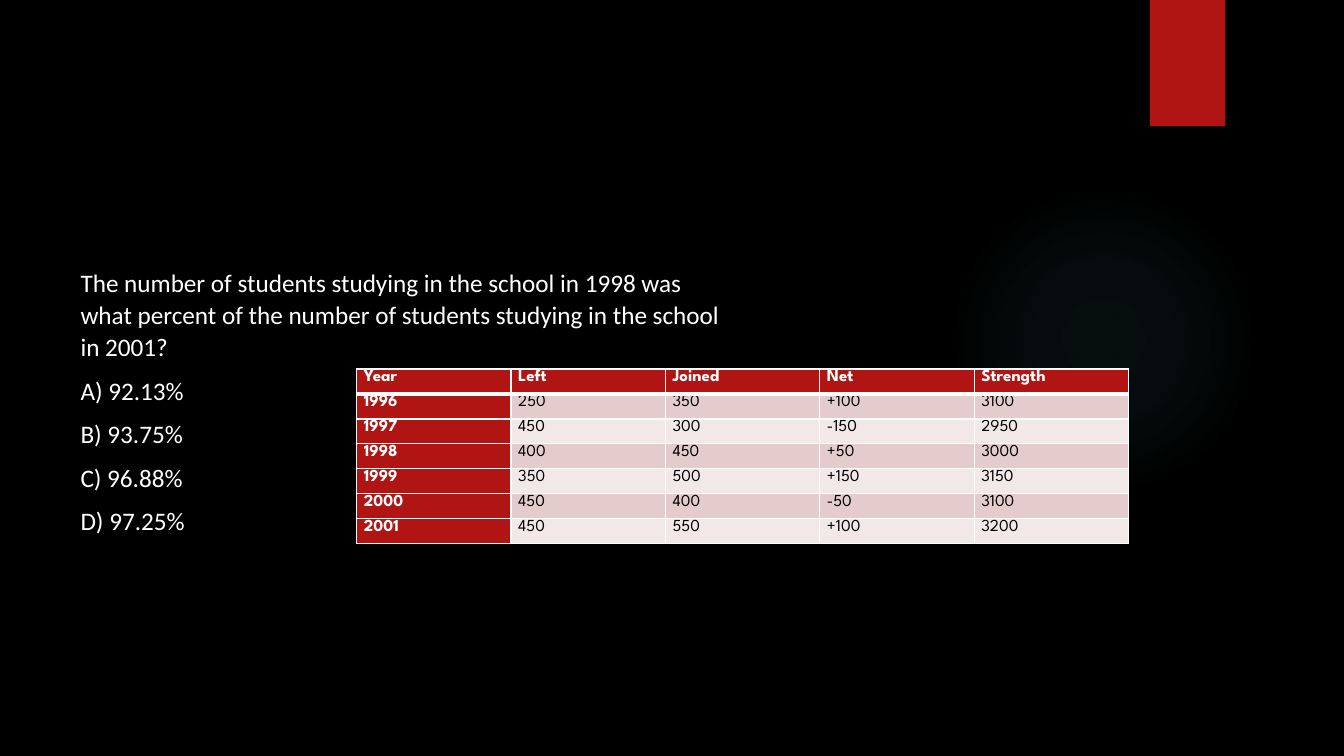
from lxml import etree
from pptx import Presentation
from pptx.dml.color import RGBColor
from pptx.enum import shapes, text
from pptx.oxml import parse_xml
from pptx.oxml.ns import nsdecls, qn
from pptx.util import Cm, Pt

BLACK = RGBColor(0x00, 0x00, 0x00)
WHITE = RGBColor(0xFF, 0xFF, 0xFF)
RED = RGBColor(0xB0, 0x15, 0x13)
DARK_BAND = RGBColor(0xE4, 0xCC, 0xCC)
LIGHT_BAND = RGBColor(0xF2, 0xE8, 0xE7)
GLOW = RGBColor(0x50, 0xB9, 0xC1)

GLOW_STOPS = [(0, 7), (36, 6), (69, 0)]  # position and opacity, in percent

QUESTION = [
    "The number of students studying in the school in 1998 was what percent "
    "of the number of students studying in the school in 2001?",
    "A) 92.13%",
    "B) 93.75%",
    "C) 96.88%",
    "D) 97.25%",
]
STRENGTH_ROWS = [
    ["Year", "Left", "Joined", "Net", "Strength"],
    ["1996", "250", "350", "+100", "3100"],
    ["1997", "450", "300", "-150", "2950"],
    ["1998", "400", "450", "+50", "3000"],
    ["1999", "350", "500", "+150", "3150"],
    ["2000", "450", "400", "-50", "3100"],
    ["2001", "450", "550", "+100", "3200"],
]


def add_run(paragraph, wording, font_name, size, color, bold=False):
    paragraph.line_spacing = 1.07
    paragraph.space_after = Pt(8)
    run = paragraph.add_run()
    run.text = wording
    run.font.name = font_name
    run.font.size = Pt(size)
    run.font.color.rgb = color
    run.font.bold = bold


def add_plain_shape(slide, kind, box):
    shape = slide.shapes.add_shape(kind, *box)
    shape.shadow.inherit = False
    shape.line.fill.background()
    return shape


def add_glow(slide, box):
    """Place a faint circle that fades out from its centre."""
    shape = add_plain_shape(slide, shapes.MSO_SHAPE.OVAL, box)
    stops = "".join(
        f'<a:gs pos="{position * 1000}"><a:srgbClr val="{GLOW}">'
        f'<a:alpha val="{opacity * 1000}"/></a:srgbClr></a:gs>'
        for position, opacity in GLOW_STOPS
    )
    gradient = parse_xml(
        f'<a:gradFill {nsdecls("a")} rotWithShape="1"><a:gsLst>{stops}</a:gsLst>'
        '<a:path path="circle"><a:fillToRect l="50000" t="50000" r="50000" '
        'b="50000"/></a:path></a:gradFill>'
    )
    shape._element.spPr.find(qn("a:prstGeom")).addnext(gradient)


def add_ribbon(slide, box):
    shape = add_plain_shape(slide, shapes.MSO_SHAPE.RECTANGLE, box)
    shape.fill.solid()
    shape.fill.fore_color.rgb = RED


def set_borders(cell, top, bottom):
    """Draw white borders, with the top and bottom widths in points."""
    properties = cell._tc.get_or_add_tcPr()
    widths = {"lnL": 1, "lnR": 1, "lnT": top, "lnB": bottom}
    for index, (side, width) in enumerate(widths.items()):
        line = etree.Element(qn(f"a:{side}"), w=str(Pt(width)))
        fill = etree.SubElement(line, qn("a:solidFill"))
        etree.SubElement(fill, qn("a:srgbClr"), val=str(WHITE))
        properties.insert(index, line)


def add_strength_table(slide, box):
    row_count, column_count = len(STRENGTH_ROWS), len(STRENGTH_ROWS[0])
    table = slide.shapes.add_table(row_count, column_count, *box).table
    for row_index, row in enumerate(STRENGTH_ROWS):
        for column_index, wording in enumerate(row):
            cell = table.cell(row_index, column_index)
            is_heading = row_index == 0 or column_index == 0
            band = DARK_BAND if row_index % 2 else LIGHT_BAND
            cell.fill.solid()
            cell.fill.fore_color.rgb = RED if is_heading else band
            cell.margin_left = cell.margin_right = Cm(0.18)
            cell.margin_top = cell.margin_bottom = 0
            set_borders(cell, top=3 if row_index == 1 else 1,
                        bottom=3 if row_index == 0 else 1)
            add_run(cell.text_frame.paragraphs[0], wording, "League Spartan", 12,
                    WHITE if is_heading else BLACK, is_heading)


def add_question(slide, box):
    frame = slide.shapes.add_textbox(*box).text_frame
    frame.word_wrap = True
    frame.auto_size = text.MSO_AUTO_SIZE.SHAPE_TO_FIT_TEXT
    for index, wording in enumerate(QUESTION):
        paragraph = frame.add_paragraph() if index else frame.paragraphs[0]
        add_run(paragraph, wording, "Calibri", 18, WHITE)


def main():
    presentation = Presentation()
    presentation.slide_width = Cm(33.87)
    presentation.slide_height = Cm(19.05)
    slide = presentation.slides.add_slide(presentation.slide_layouts[6])
    slide.background.fill.solid()
    slide.background.fill.fore_color.rgb = BLACK

    add_glow(slide, (Cm(23.9), Cm(4.65), Cm(7.82), Cm(7.82)))
    add_ribbon(slide, (Cm(28.98), 0, Cm(1.9), Cm(3.18)))
    add_strength_table(slide, (Cm(8.99), Cm(9.3), Cm(19.45), Cm(4.4)))
    add_question(slide, (Cm(1.78), Cm(6.55), Cm(16.92), Cm(7.11)))
    presentation.save("out.pptx")


if __name__ == "__main__":
    main()
